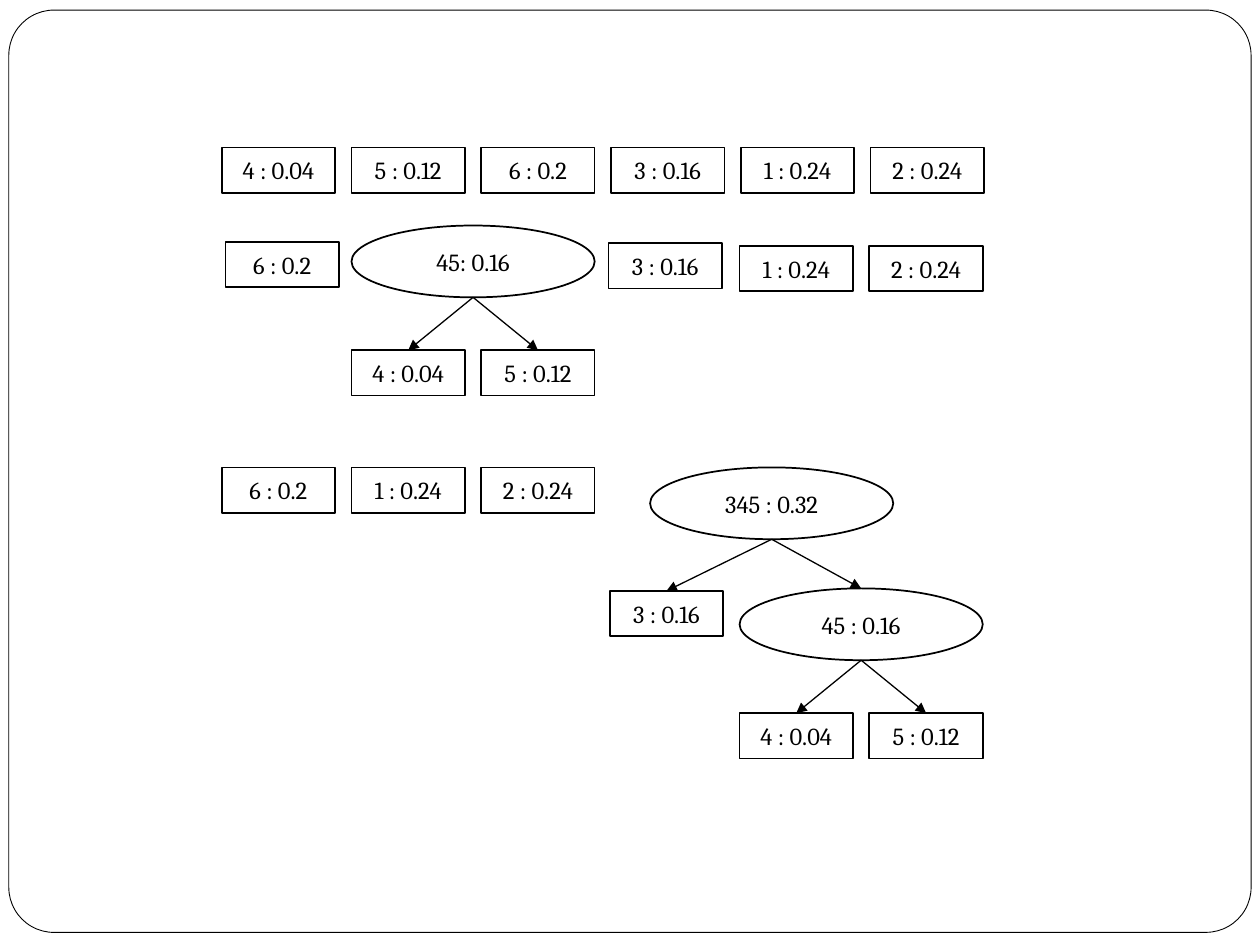
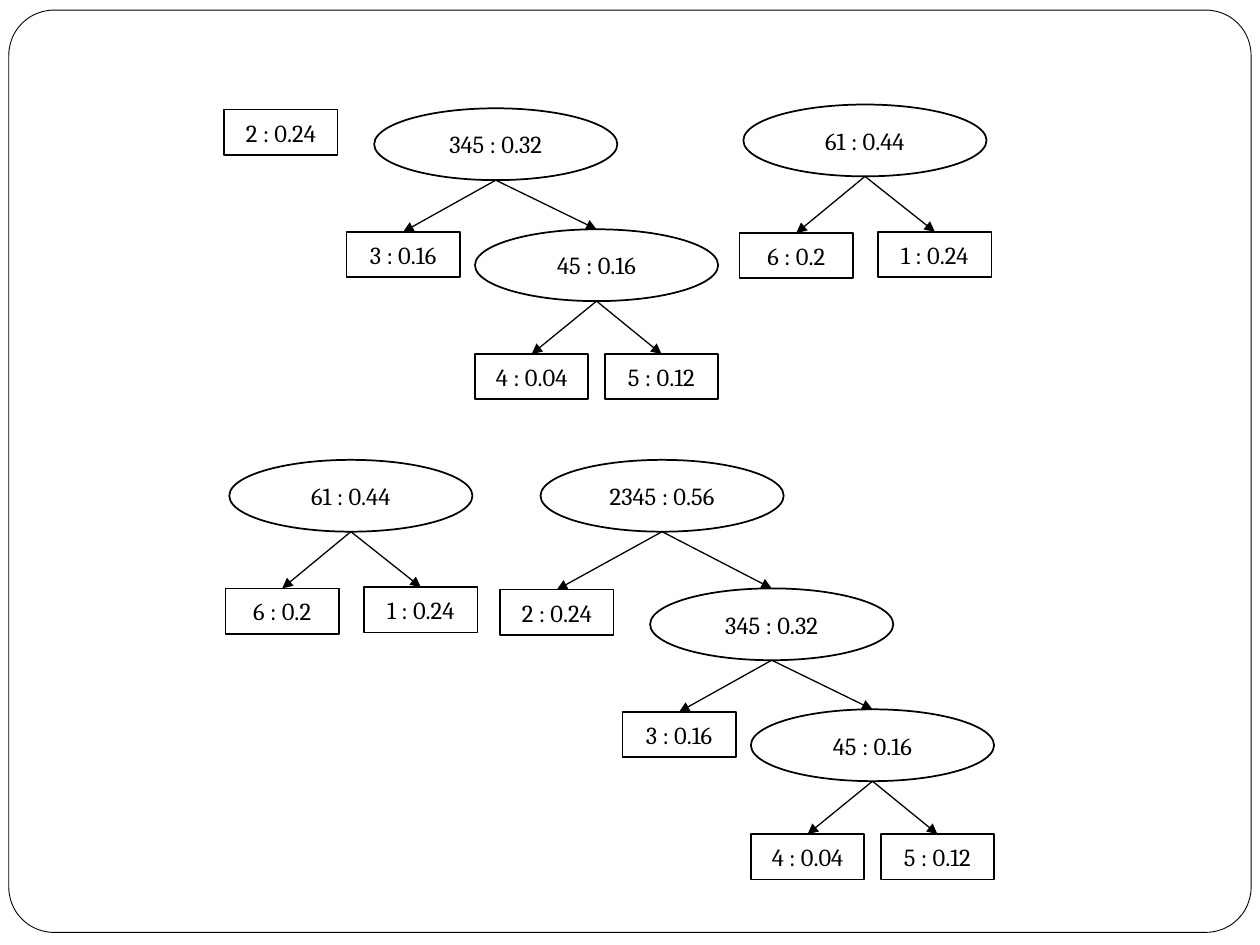
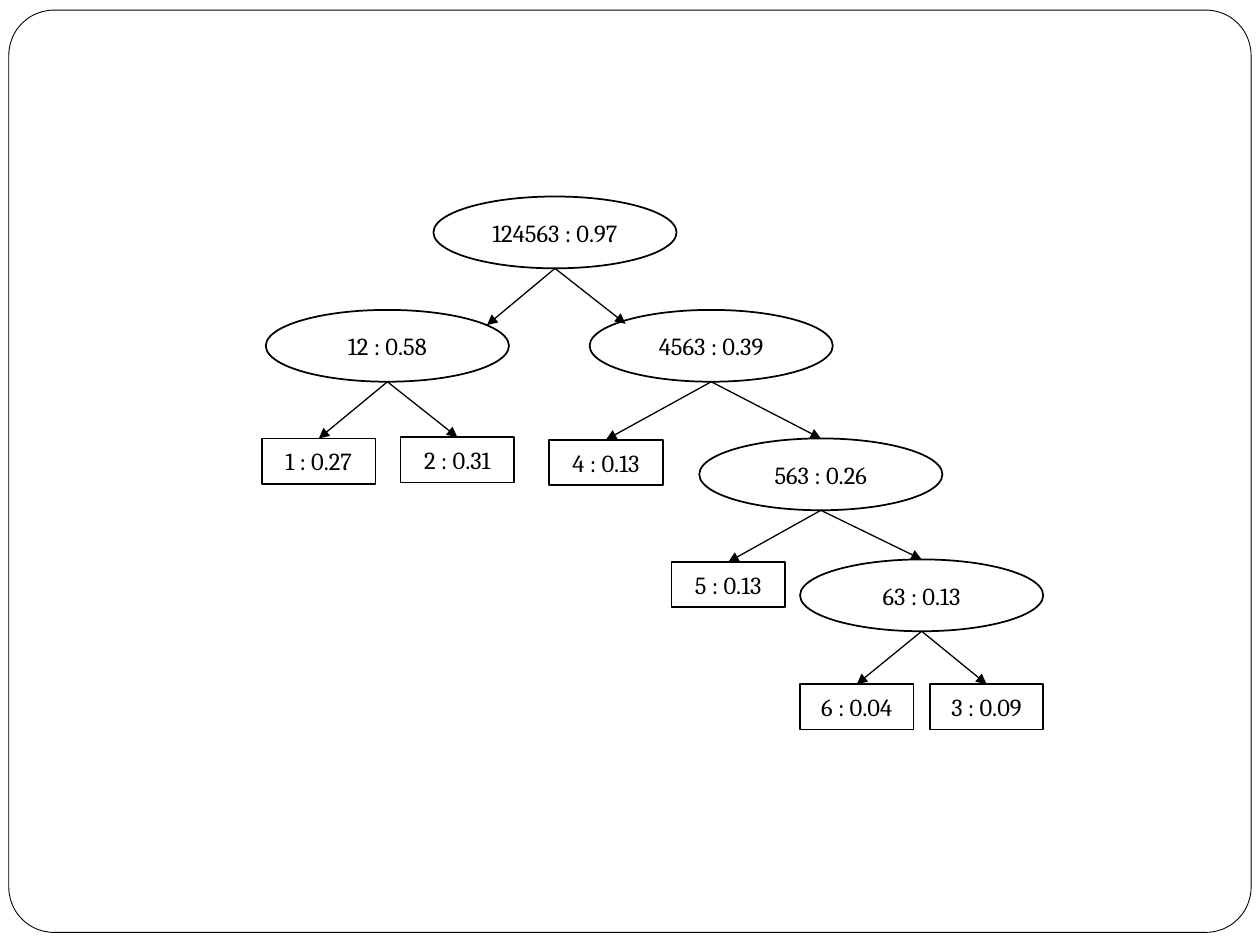
"""Build three slides of Huffman trees growing from weighted leaves."""
import dataclasses

import lxml.etree
import pptx
import pptx.dml.color
import pptx.enum.shapes
import pptx.enum.text
import pptx.oxml.ns
import pptx.util

Inches = pptx.util.Inches
Pt = pptx.util.Pt
SHAPES = pptx.enum.shapes.MSO_SHAPE

THEME = {
    "ink": pptx.dml.color.RGBColor(0, 0, 0),
    "paper": pptx.dml.color.RGBColor(255, 255, 255),
    "font": {"name": "Cambria", "size": Pt(14)},
    "frame_line": Pt(0.5),
    "node_line": Pt(1),
    "arrow_line": Pt(0.75),
    "leaf": (0.9, 0.36),
    "branch": (1.93, 0.57),
}
PITCH = 1.03

SPREADS = {
    "pair": ((0, 0.99), (PITCH, 0.99)),
    "wide pair": ((-0.03, 1.02), (1.07, 1.01)),
    "close": ((-0.32, 0.98), (0.71, 0.96)),
    "middle": ((-0.22, 0.98), (0.8, 0.96)),
    "far": ((-0.32, 1.03), (0.87, 1.02)),
    "top": ((-1.33, 0.9), (1.24, 0.9)),
}
LANDINGS = {"top": ((0.79, 0.12), (-0.68, 0.11))}


@dataclasses.dataclass
class Tree:
    label: str
    spread: str
    children: tuple


class Deck:
    def __init__(self):
        self.presentation = pptx.Presentation()
        self.presentation.slide_width = Inches(10)
        self.presentation.slide_height = Inches(7.5)
        self.slide = None

    def new_slide(self):
        self.slide = self.presentation.slides.add_slide(self.presentation.slide_layouts[6])
        frame = self.shape(SHAPES.ROUNDED_RECTANGLE, 0.07, 0.08, (9.86, 7.32), "frame_line")
        frame.adjustments[0] = 0.049

    def shape(self, outline, left, top, extent, line):
        shape = self.slide.shapes.add_shape(
            outline, *(Inches(length) for length in (left, top, *extent)))
        shape.shadow.inherit = False
        shape.fill.solid()
        shape.fill.fore_color.rgb = THEME["paper"]
        shape.line.color.rgb = THEME["ink"]
        shape.line.width = THEME[line]
        return shape

    def node(self, label, left, top, kind):
        outline = SHAPES.RECTANGLE if kind == "leaf" else SHAPES.OVAL
        words = self.shape(outline, left, top, THEME[kind], "node_line").text_frame
        words.text = label
        words.vertical_anchor = pptx.enum.text.MSO_ANCHOR.MIDDLE
        words.paragraphs[0].alignment = pptx.enum.text.PP_ALIGN.CENTER
        font = words.paragraphs[0].runs[0].font
        for attribute, value in THEME["font"].items():
            setattr(font, attribute, value)
        font.color.rgb = THEME["ink"]

    def arrow(self, start, end):
        arrow = self.slide.shapes.add_connector(
            pptx.enum.shapes.MSO_CONNECTOR.STRAIGHT,
            *(Inches(length) for length in (*start, *end)))
        arrow.line.color.rgb = THEME["ink"]
        arrow.line.width = THEME["arrow_line"]
        qn = pptx.oxml.ns.qn
        lxml.etree.SubElement(arrow.line._get_or_add_ln(), qn("a:tailEnd"), type="triangle")
        lxml.etree.SubElement(arrow._element.spPr, qn("a:effectLst"))

    def row(self, left, top, labels):
        for place, label in enumerate(labels):
            self.node(label, left + place * PITCH, top, "leaf")

    def tree(self, tree, left, top):
        if isinstance(tree, str):
            self.node(tree, left, top, "leaf")
            return
        self.node(tree.label, left, top, "branch")
        width, height = THEME["branch"]
        landings = LANDINGS.get(tree.spread, ((0, 0), (0, 0)))
        for child, (right, down), landing in zip(tree.children, SPREADS[tree.spread], landings):
            self.tree(child, left + right, top + down)
            child_width = THEME["leaf" if isinstance(child, str) else "branch"][0]
            end = (left + right + child_width / 2 + landing[0], top + down + landing[1])
            self.arrow((left + width / 2, top + height), end)


leaf_1, leaf_2, leaf_3 = "1 : 0.24", "2 : 0.24", "3 : 0.16"
leaf_4, leaf_5, leaf_6 = "4 : 0.04", "5 : 0.12", "6 : 0.2"
first_45 = Tree("45: 0.16", "pair", (leaf_4, leaf_5))
merged_45 = Tree("45 : 0.16", "pair", (leaf_4, leaf_5))
first_345 = Tree("345 : 0.32", "close", (leaf_3, merged_45))
merged_345 = Tree("345 : 0.32", "middle", (leaf_3, merged_45))
merged_61 = Tree("61 : 0.44", "wide pair", (leaf_6, leaf_1))
merged_2345 = Tree("2345 : 0.56", "far", (leaf_2, merged_345))

merged_12 = Tree("12 : 0.58", "wide pair", ("1 : 0.27", "2 : 0.31"))
merged_63 = Tree("63 : 0.13", "pair", ("6 : 0.04", "3 : 0.09"))
merged_563 = Tree("563 : 0.26", "middle", ("5 : 0.13", merged_63))
merged_4563 = Tree("4563 : 0.39", "far", ("4 : 0.13", merged_563))
complete = Tree("124563 : 0.97", "top", (merged_12, merged_4563))

deck = Deck()

deck.new_slide()
deck.row(1.76, 1.17, (leaf_4, leaf_5, leaf_6, leaf_3, leaf_1, leaf_2))
deck.row(1.79, 1.92, (leaf_6,))
deck.row(4.83, 1.93, (leaf_3,))
deck.row(5.87, 1.95, (leaf_1, leaf_2))
deck.tree(first_45, 2.79, 1.79)
deck.row(1.76, 3.71, (leaf_6, leaf_1, leaf_2))
deck.tree(first_345, 5.16, 3.71)

deck.new_slide()
deck.row(1.78, 0.87, (leaf_2,))
deck.tree(merged_345, 2.97, 0.86)
deck.tree(merged_61, 5.9, 0.83)
deck.tree(merged_61, 1.82, 3.65)
deck.tree(merged_2345, 4.29, 3.65)

deck.new_slide()
deck.tree(complete, 3.44, 1.56)

deck.presentation.save("out.pptx")
